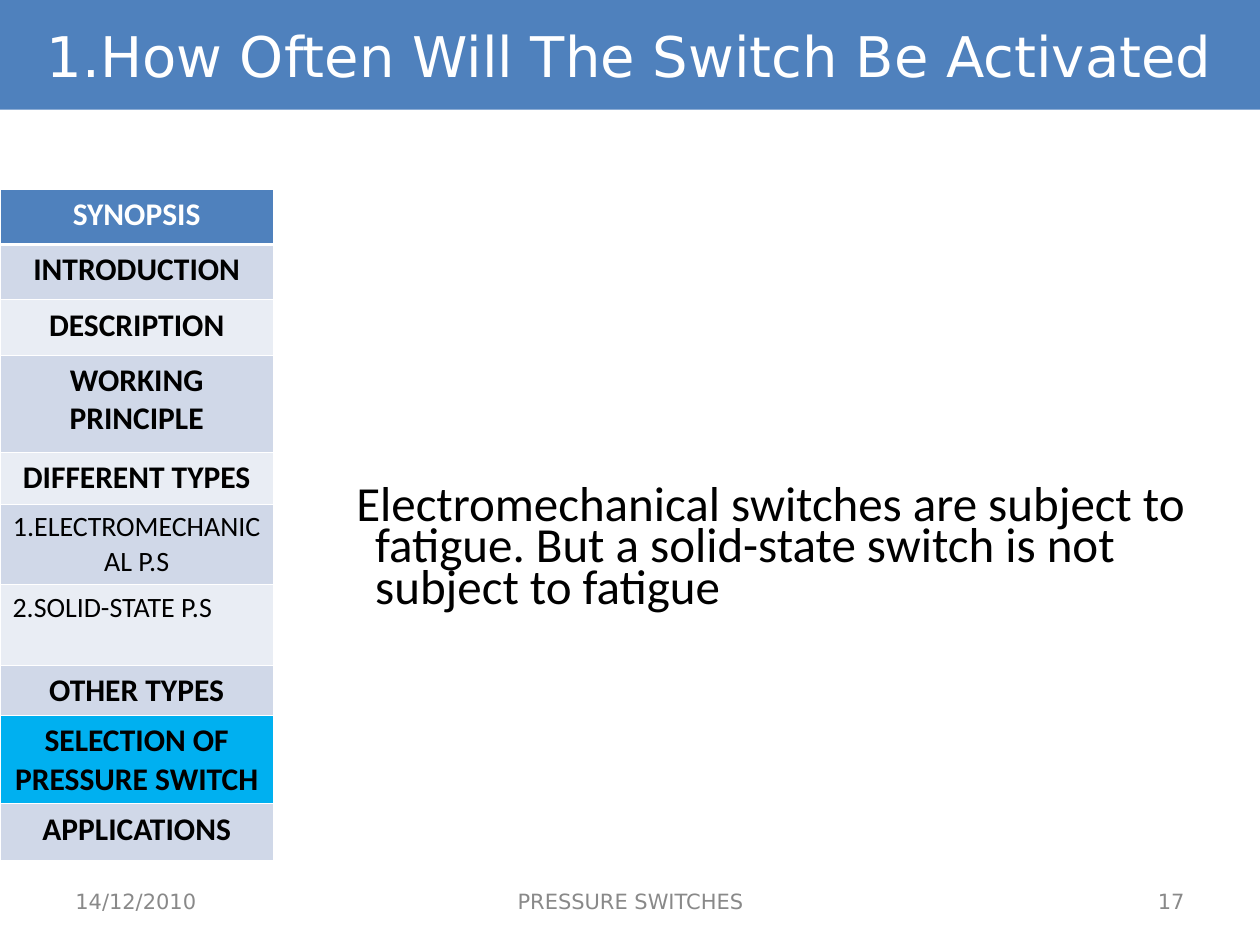
from dataclasses import dataclass

from pptx import Presentation
from pptx.dml.color import RGBColor
from pptx.enum import shapes, text
from pptx.oxml import parse_xml
from pptx.oxml import ns
from pptx.util import Inches, Pt

LEFT, MID, RIGHT = text.PP_ALIGN.LEFT, text.PP_ALIGN.CENTER, text.PP_ALIGN.RIGHT


@dataclass(frozen=True)
class Theme:
    body: str = "Calibri"
    head: str = "DejaVu Sans"
    blue: str = "4F81BD"
    dark: str = "D0D8E8"
    light: str = "E9EDF4"
    cyan: str = "00B0F0"
    white: str = "FFFFFF"
    black: str = "000000"
    gray: str = "898989"
    title: int = 32
    main: int = 28
    item: int = 18
    sub: int = 16
    foot: int = 12
    thin: float = 0.45
    thick: float = 1.47


T = Theme()

MENU = [
    ("SYNOPSIS", 0.44, T.blue),
    ("INTRODUCTION", 0.44, T.dark),
    ("DESCRIPTION", 0.44, T.light),
    ("WORKING PRINCIPLE", 0.77, T.dark),
    ("DIFFERENT TYPES", 0.41, T.light),
    ("1.ELECTROMECHANICAL P.S", 0.64, T.dark),
    ("2.SOLID-STATE P.S", 0.64, T.light),
    ("OTHER TYPES", 0.4, T.dark),
    ("SELECTION OF PRESSURE SWITCH", 0.7, T.cyan),
    ("APPLICATIONS", 0.45, T.dark),
]
FEET = [
    ("14/12/2010", 0.5, 2.33, LEFT),
    ("PRESSURE SWITCHES", 3.42, 3.17, MID),
    ("17", 7.17, 2.33, RIGHT),
]


def write(frame, words, font, size, color, align=LEFT, bold=False):
    frame.word_wrap = True
    frame.text = words
    para = frame.paragraphs[0]
    para.alignment = align
    for run in para.runs:
        run.font.name = font
        run.font.size = Pt(size)
        run.font.bold = bold
        run.font.color.rgb = RGBColor.from_string(color)
    return para


def add_title(slide, words):
    bar = slide.shapes.add_shape(
        shapes.MSO_SHAPE.RECTANGLE, 0, 0, Inches(10), Inches(0.87))
    bar.shadow.inherit = False
    bar.fill.solid()
    bar.fill.fore_color.rgb = RGBColor.from_string(T.blue)
    bar.line.fill.background()
    bar.text_frame.vertical_anchor = text.MSO_ANCHOR.MIDDLE
    write(bar.text_frame, words, T.head, T.title, T.white, MID)


def add_body(slide, words):
    box = slide.shapes.add_textbox(
        Inches(2.5), Inches(3.83), Inches(7.5), Inches(1.17))
    para = write(box.text_frame, words, T.body, T.main, T.black)
    para.line_spacing = 0.7
    props = para._p.get_or_add_pPr()
    props.set("marL", str(Inches(0.38)))
    props.set("indent", str(Inches(-0.15)))


def add_foot(slide, words, left, width, align):
    box = slide.shapes.add_textbox(
        Inches(left), Inches(6.95), Inches(width), Inches(0.4))
    box.text_frame.vertical_anchor = text.MSO_ANCHOR.MIDDLE
    write(box.text_frame, words, T.head, T.foot, T.gray, align)


def add_edges(cell, top, bottom):
    props = cell._tc.get_or_add_tcPr()
    for side, width in zip("LRTB", (T.thin, T.thin, top, bottom)):
        props.append(parse_xml(
            f'<a:ln{side} {ns.nsdecls("a")} w="{Pt(width)}"><a:solidFill>'
            f'<a:srgbClr val="{T.white}"/></a:solidFill></a:ln{side}>'))


def add_menu(slide, items):
    frame = slide.shapes.add_table(
        len(items), 1, 0, Inches(1.5), Inches(2.17), Inches(5.33))
    table = frame.table
    table.horz_banding = False
    for row, (words, height, fill) in enumerate(items):
        table.rows[row].height = Inches(height)
        cell = table.cell(row, 0)
        sub = words[0].isdigit()
        write(cell.text_frame, words, T.body,
              T.sub if sub else T.item,
              T.black if row else T.white,
              LEFT if words.startswith("2") else MID, not sub)
        add_edges(cell, T.thick if row == 1 else T.thin,
                  T.thin if row else T.thick)
        cell.fill.solid()
        cell.fill.fore_color.rgb = RGBColor.from_string(fill)


def main():
    deck = Presentation()
    deck.slide_width, deck.slide_height = Inches(10), Inches(7.5)
    slide = deck.slides.add_slide(deck.slide_layouts[6])
    add_body(slide, "Electromechanical switches are subject to fatigue. "
                    "But a solid-state switch is not subject to fatigue")
    for foot in FEET:
        add_foot(slide, *foot)
    add_menu(slide, MENU)
    add_title(slide, "1.How Often Will The Switch Be Activated")
    deck.save("out.pptx")


if __name__ == "__main__":
    main()
